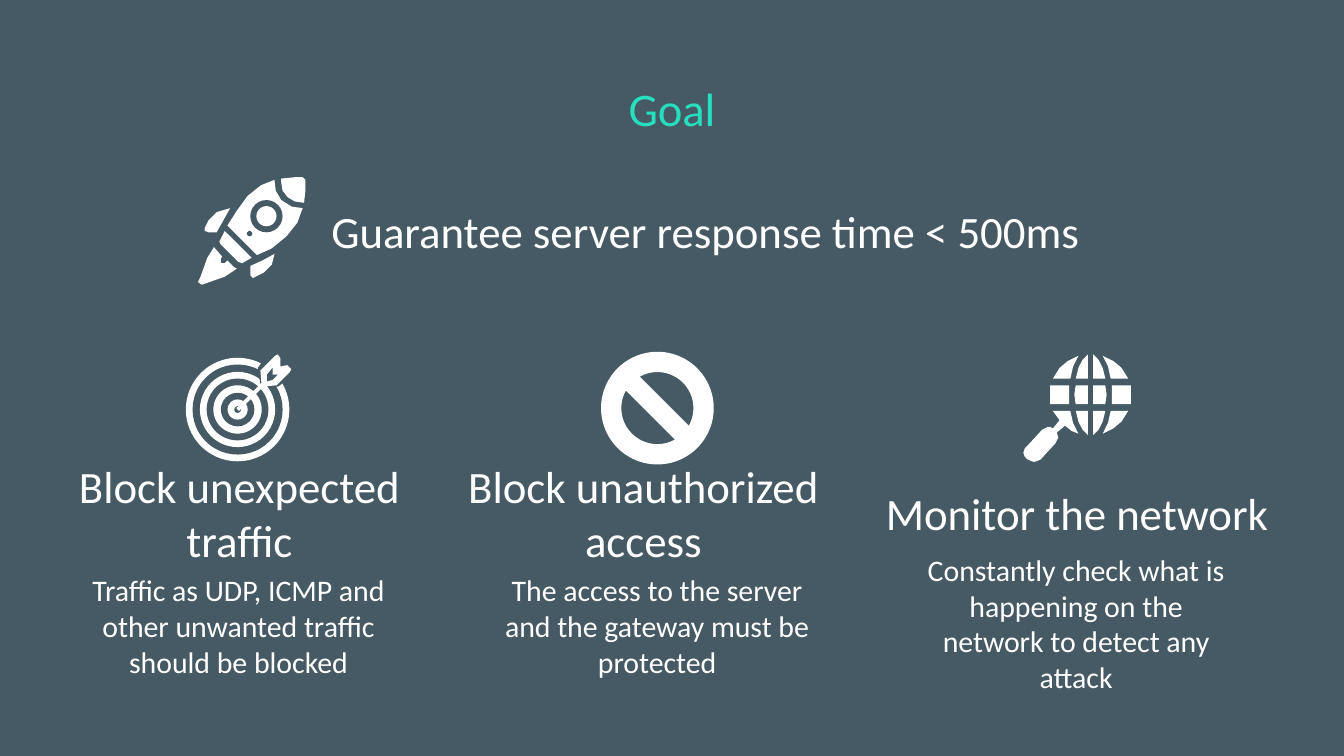
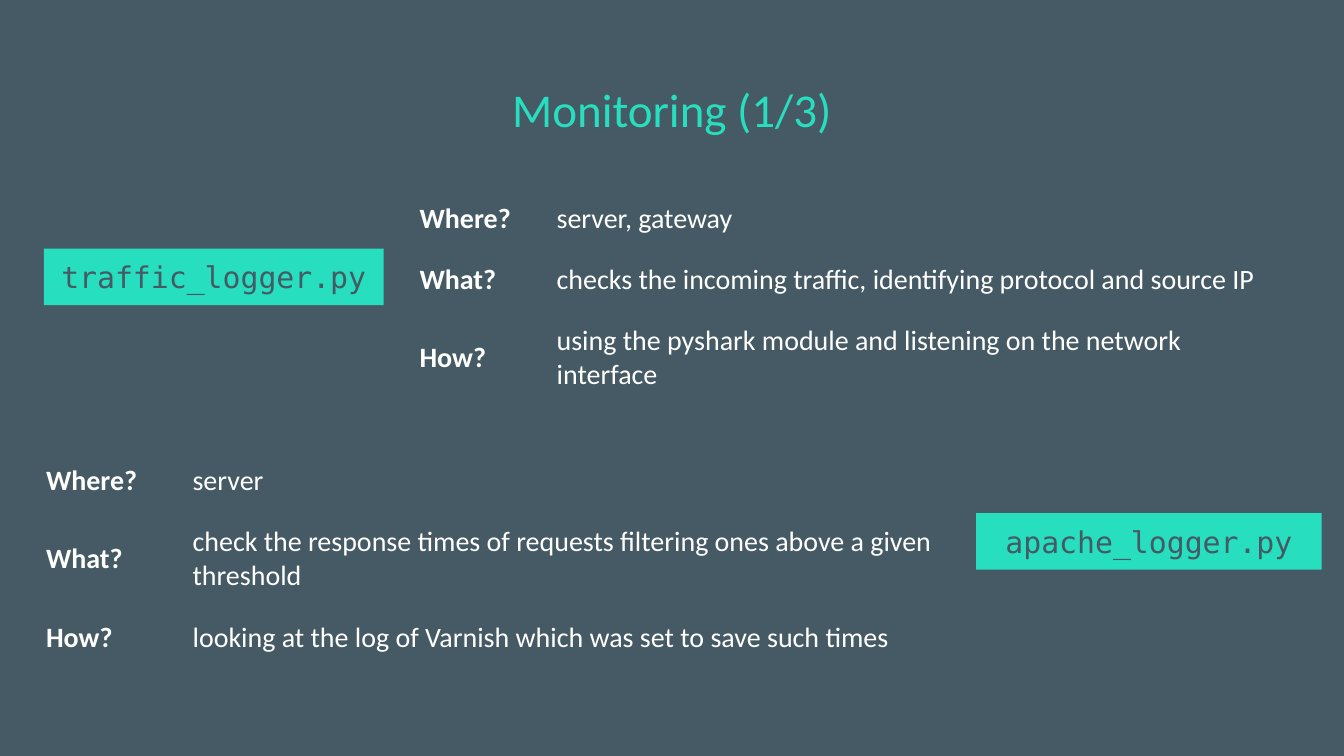
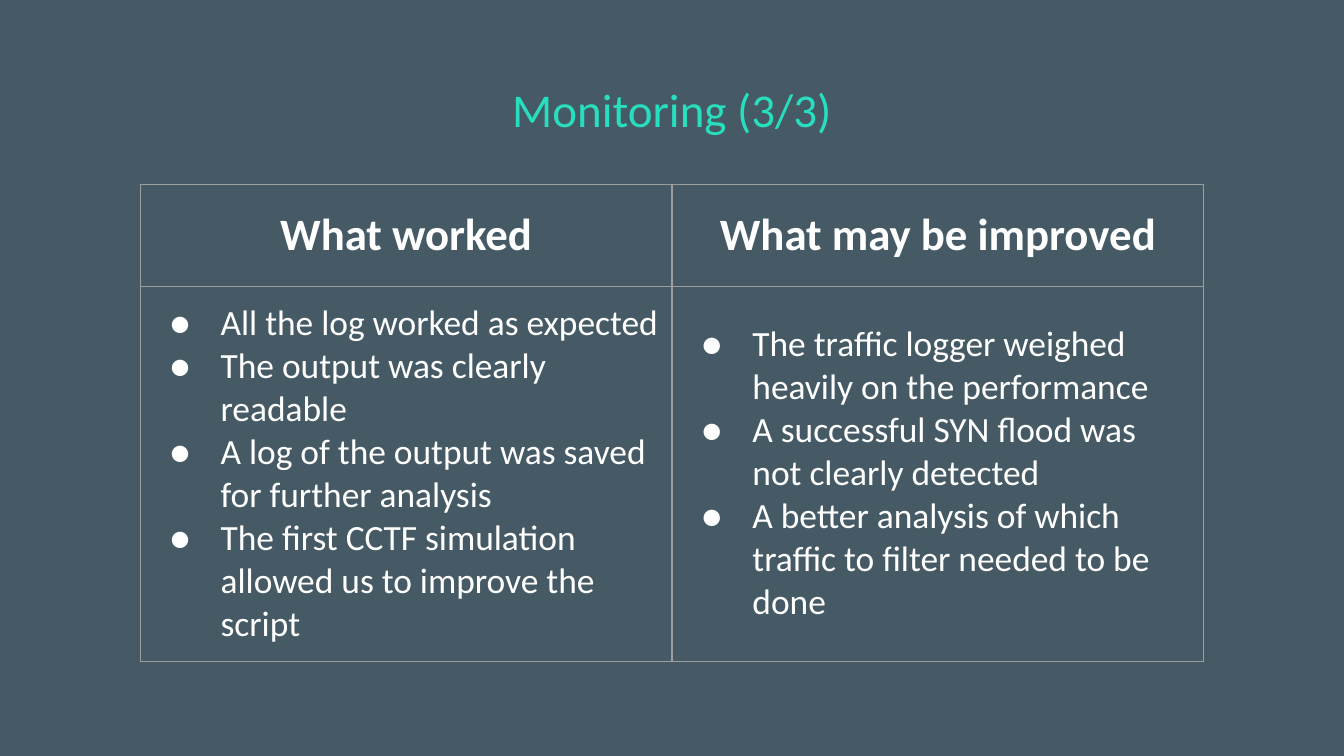
from lxml.etree import SubElement
from pptx import Presentation
from pptx.dml.color import RGBColor
from pptx.enum.shapes import MSO_SHAPE
from pptx.enum.text import MSO_ANCHOR, MSO_AUTO_SIZE, PP_ALIGN
from pptx.oxml.ns import qn
from pptx.util import Cm, Pt

COLORS = {"slate": "455A64", "mint": "27DEBF", "white": "FFFFFF", "border": "9E9E9E"}
RGB = {name: RGBColor.from_string(value) for name, value in COLORS.items()}
BODY_FONT = "Calibri"
CODE_FONT = "DejaVu Sans Mono"
PLAIN_TABLE_STYLE = "{2D5ABB26-0587-4C30-8999-92F81FD0307C}"
INSET = Cm(0.25)
ICON_UNIT = Cm(0.0254)  # icons are drawn on a grid 80 units wide


def write(holder, lines, size, color="white", font=BODY_FONT, bold=False,
          align=PP_ALIGN.CENTER, anchor=MSO_ANCHOR.MIDDLE, bullets=False):
    """Fill a text frame or a table cell with equally styled paragraphs."""
    holder.margin_left = holder.margin_right = INSET
    holder.margin_top = holder.margin_bottom = INSET
    holder.vertical_anchor = anchor
    frame = getattr(holder, "text_frame", holder)
    frame.word_wrap = True
    frame.text = "\n".join(lines)
    for paragraph in frame.paragraphs:
        paragraph.alignment = align
        if bullets:
            properties = paragraph._p.get_or_add_pPr()
            properties.set("marL", str(Cm(1.27)))
            properties.set("indent", str(Cm(-0.97)))
            bullet_color = SubElement(properties, qn("a:buClr"))
            SubElement(bullet_color, qn("a:srgbClr"), val=COLORS[color])
            SubElement(properties, qn("a:buFont"), typeface=font)
            SubElement(properties, qn("a:buChar"), char="●")
        paragraph.font.size = Pt(size)
        paragraph.font.name = font
        paragraph.font.bold = bold
        paragraph.font.color.rgb = RGB[color]


def draw_icon(slide, left, top, parts):
    """Draw ovals (centre x, centre y, radius x, radius y) and outlines (lists of points)."""
    for color, geometry in parts:
        if isinstance(geometry, tuple):
            x, y, radius_x, radius_y = geometry
            part = slide.shapes.add_shape(
                MSO_SHAPE.OVAL,
                int(left + (x - radius_x) * ICON_UNIT), int(top + (y - radius_y) * ICON_UNIT),
                int(2 * radius_x * ICON_UNIT), int(2 * radius_y * ICON_UNIT))
        else:
            outline = slide.shapes.build_freeform(*geometry[0], scale=ICON_UNIT)
            outline.add_line_segments(geometry[1:], close=True)
            part = outline.convert_to_shape(left, top)
        part.shadow.inherit = False
        part.fill.solid()
        part.fill.fore_color.rgb = RGB[color]
        part.line.fill.background()


prs = Presentation()
prs.slide_width, prs.slide_height = Cm(25.4), Cm(14.29)
background = prs.slide_master.background.fill
background.solid()
background.fore_color.rgb = RGB["slate"]

slides = []
for heading, top, size in [("Goal", 1.26, 25),
                           ("Monitoring (1/3)", 1.28, 25.2),
                           ("Monitoring (3/3)", 1.28, 25.2)]:
    slide = prs.slides.add_slide(prs.slide_layouts[5])
    title = slide.shapes.title
    title.left, title.top, title.width, title.height = Cm(1.98), Cm(top), Cm(21.44), Cm(1.57)
    write(title.text_frame, [heading], size, "mint", anchor=MSO_ANCHOR.TOP)
    title.text_frame.auto_size = MSO_AUTO_SIZE.NONE
    slides.append(slide)
goal, loggers, review = slides

# Goal: one main promise and three measures
for left, top, width, height, size, text in [
    (5.05, 3.63, 16.56, 1.47, 24, "Guarantee server response time < 500ms"),
    (0.88, 8.95, 7.29, 1.47, 24, "Block unexpected traffic"),
    (8.44, 8.95, 7.44, 1.47, 24, "Block unauthorized access"),
    (16.15, 8.95, 8.41, 1.47, 24, "Monitor the network"),
    (1.31, 10.87, 6.4, 1.9, 16,
     "Traffic as UDP, ICMP and other unwanted traffic should be blocked"),
    (9.22, 10.87, 6.4, 1.9, 16,
     "The access to the server and the gateway must be protected"),
    (17.14, 10.83, 6.4, 1.9, 16,
     "Constantly check what is happening on the network to detect any attack"),
]:
    box = goal.shapes.add_textbox(Cm(left), Cm(top), Cm(width), Cm(height))
    write(box.text_frame, [text], size)

rocket = [
    ("white", [(62, 1), (62, 4), (63, 10), (67, 15), (72, 18), (79, 19),
               (80, 10), (80, 2), (78, 0), (72, 0)]),
    ("white", [(57, 2), (47, 6), (37, 14), (29, 25), (22, 36), (44, 58), (55, 53),
               (66, 44), (74, 34), (78, 23), (70, 22), (62, 17), (58, 10)]),
    ("slate", (51, 29, 12, 12)),
    ("white", (51, 29, 7.5, 7.5)),
    ("slate", (38.5, 42, 2, 2)),
    ("white", [(57, 57), (48, 62), (39, 66), (39, 73), (41, 75), (49, 71), (55, 65)]),
    ("white", [(24, 23), (14, 26), (8, 32), (5, 38), (5, 40), (8, 41), (14, 41), (19, 32)]),
    ("white", [(20, 40), (40, 60), (33, 64), (30, 63), (17, 50), (16, 48)]),
    ("white", [(12, 52), (18, 59), (17, 61), (17, 64), (20, 64), (22, 62), (27, 67),
               (29, 68), (20, 74), (3, 80), (0, 78), (2, 74), (7, 60)]),
]
rings = [38.5, 33.5, 28, 23, 18, 12.5, 7.5, 2.5]
target = [(("white", "slate")[i % 2], (39, 41, r, r)) for i, r in enumerate(rings)] + [
    ("slate", [(60, 2), (54, 10), (56, 22), (69, 24), (80, 16), (72, 2)]),
    ("white", [(38, 40), (40, 42), (66, 16), (64, 14)]),
    ("white", [(56, 12), (67, 1), (69, 0), (71, 3), (71, 9), (76, 8), (79, 11),
               (78, 13), (68, 23), (57, 24)]),
    ("slate", [(65, 10), (65, 15), (69, 15), (65, 19), (61, 20), (61, 15)]),
]
# Globe fields are given for the left half and mirrored about the centre (50, 30)
inner_cap = [(48, 0), (44, 4), (41, 10), (39, 18), (48, 18)]
outer_cap = [(41, 1), (33, 5), (27, 10), (22, 18), (35, 18), (37, 9)]
inner_belt = [(39, 23), (38, 30), (39, 37), (48, 37), (48, 23)]
outer_belt = [(20, 23), (19.5, 30), (20, 37), (34, 37), (33.5, 30), (34, 23)]
cap_with_handle = [(22, 42), (27, 49), (22, 55), (20, 54), (18, 54), (16, 55), (14, 56),
                   (3, 68), (1, 70), (0, 73), (1, 76), (3, 78), (5, 79), (8, 80), (11, 79),
                   (13, 78), (24, 66), (25, 64), (26, 62), (25, 58), (31, 53), (36, 57),
                   (41, 59), (37, 51), (35, 42)]
left_fields = [inner_cap, outer_cap, inner_belt, outer_belt,
               [(x, 60 - y) for x, y in inner_cap]]
right_fields = [[(100 - x, y) for x, y in field] for field in left_fields]
lower_right_cap = [(100 - x, 60 - y) for x, y in outer_cap]
globe = [("white", field)
         for field in left_fields + right_fields + [lower_right_cap, cap_with_handle]]

draw_icon(goal, Cm(3.74), Cm(3.35), rocket)
draw_icon(goal, Cm(3.5), Cm(6.7), target)
draw_icon(goal, Cm(19.34), Cm(6.7), globe)
barred = goal.shapes.add_shape(MSO_SHAPE.NO_SYMBOL, Cm(11.36), Cm(6.65), Cm(2.13), Cm(2.13))
barred.adjustments[0] = 0.18
barred.shadow.inherit = False
barred.fill.solid()
barred.fill.fore_color.rgb = RGB["white"]
barred.line.fill.background()

# Monitoring: script names
for left, top, width, script_name in [(0.83, 4.7, 6.42, "traffic_logger.py"),
                                      (18.45, 9.7, 6.53, "apache_logger.py")]:
    badge = loggers.shapes.add_shape(MSO_SHAPE.RECTANGLE, Cm(left), Cm(top), Cm(width), Cm(1.07))
    badge.shadow.inherit = False
    badge.fill.solid()
    badge.fill.fore_color.rgb = RGB["mint"]
    badge.line.fill.background()
    write(badge.text_frame, [script_name], 16, "slate", CODE_FONT)

# Monitoring: tables, each row a tuple of cells and each cell a list of lines
apache_rows = [
    (["Where?"], ["server"]),
    (["What?"],
     ["check the response times of requests filtering ones above a given threshold"]),
    (["How?"], ["looking at the log of Varnish which was set to save such times"]),
]
traffic_rows = [
    (["Where?"], ["server, gateway"]),
    (["What?"], ["checks the incoming traffic, identifying protocol and source IP"]),
    (["How?"], ["using the pyshark module and listening on the network interface"]),
]
review_rows = [
    (["What worked"], ["What may be improved"]),
    (["All the log worked as expected",
      "The output was clearly readable",
      "A log of the output was saved for further analysis",
      "The first CCTF simulation allowed us to improve the script"],
     ["The traffic logger weighed heavily on the performance",
      "A successful SYN flood was not clearly detected",
      "A better analysis of which traffic to filter needed to be done"]),
]
for slide, left, top, widths, heights, rows in [
    (loggers, 0.62, 8.52, (2.77, 15.27), (1.02, 1.02, 1.17), apache_rows),
    (loggers, 7.68, 3.57, (2.59, 14.1), (1.02, 1.02, 1.17), traffic_rows),
    (review, 2.65, 3.48, (10.05, 10.05), (1.93, 7.09), review_rows),
]:
    table = slide.shapes.add_table(len(rows), 2, Cm(left), Cm(top),
                                   Cm(sum(widths)), Cm(sum(heights))).table
    table.first_row = table.horz_banding = False
    table._tbl.tblPr.find(qn("a:tableStyleId")).text = PLAIN_TABLE_STYLE
    for column, width in zip(table.columns, widths):
        column.width = Cm(width)
    for i, (height, row) in enumerate(zip(heights, rows)):
        table.rows[i].height = Cm(height)
        for j, lines in enumerate(row):
            cell = table.cell(i, j)
            if slide is loggers:
                write(cell, lines, 15, bold=j == 0, align=PP_ALIGN.LEFT)
            else:
                if i == 0:
                    write(cell, lines, 24, bold=True)
                else:
                    write(cell, lines, 19, align=PP_ALIGN.LEFT, bullets=True)
                for side in ("lnL", "lnR", "lnT", "lnB"):
                    edge = SubElement(cell._tc.get_or_add_tcPr(), qn(f"a:{side}"),
                                      w=str(Pt(0.75)))
                    edge_fill = SubElement(edge, qn("a:solidFill"))
                    SubElement(edge_fill, qn("a:srgbClr"), val=COLORS["border"])
            cell.fill.background()

prs.save("out.pptx")
